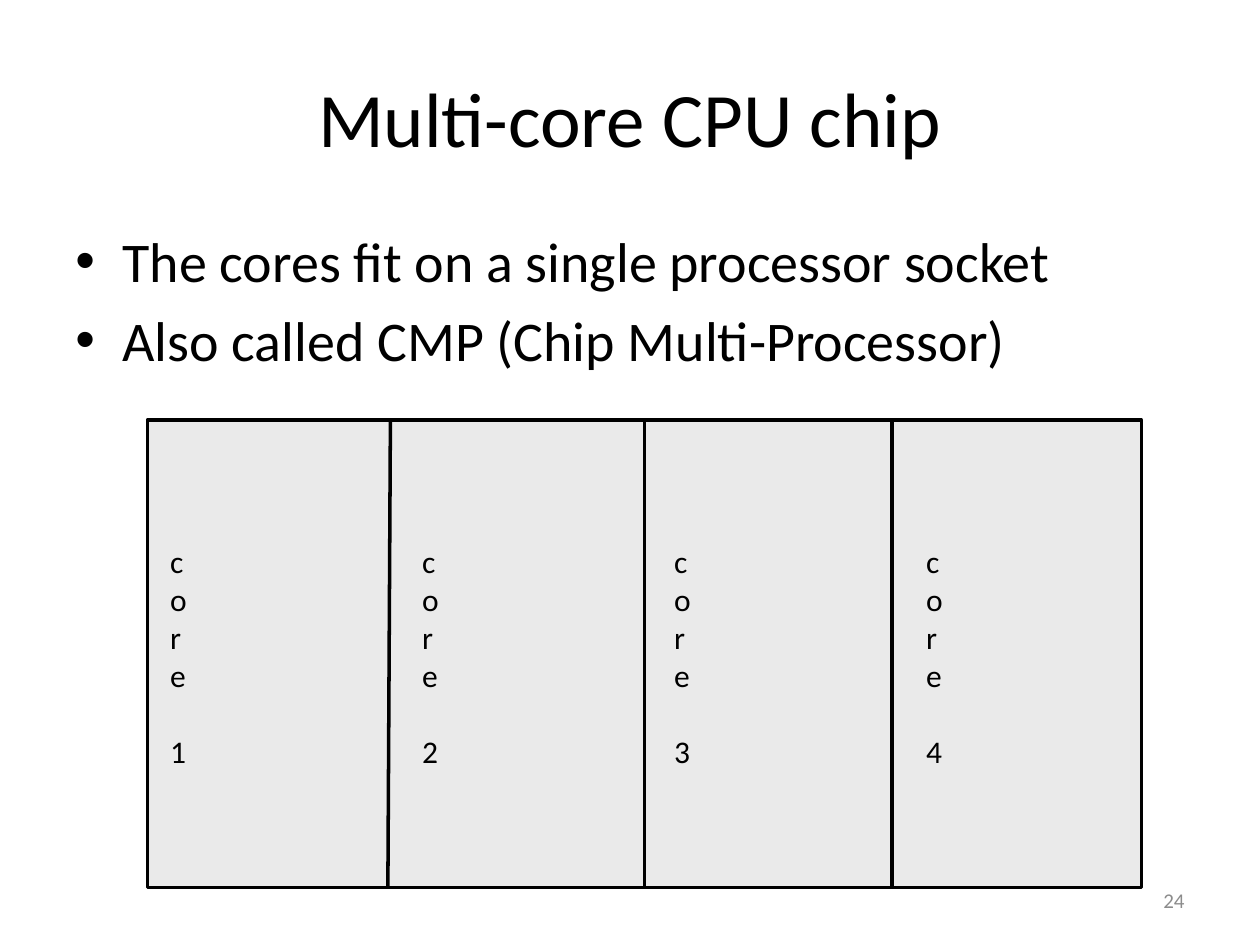
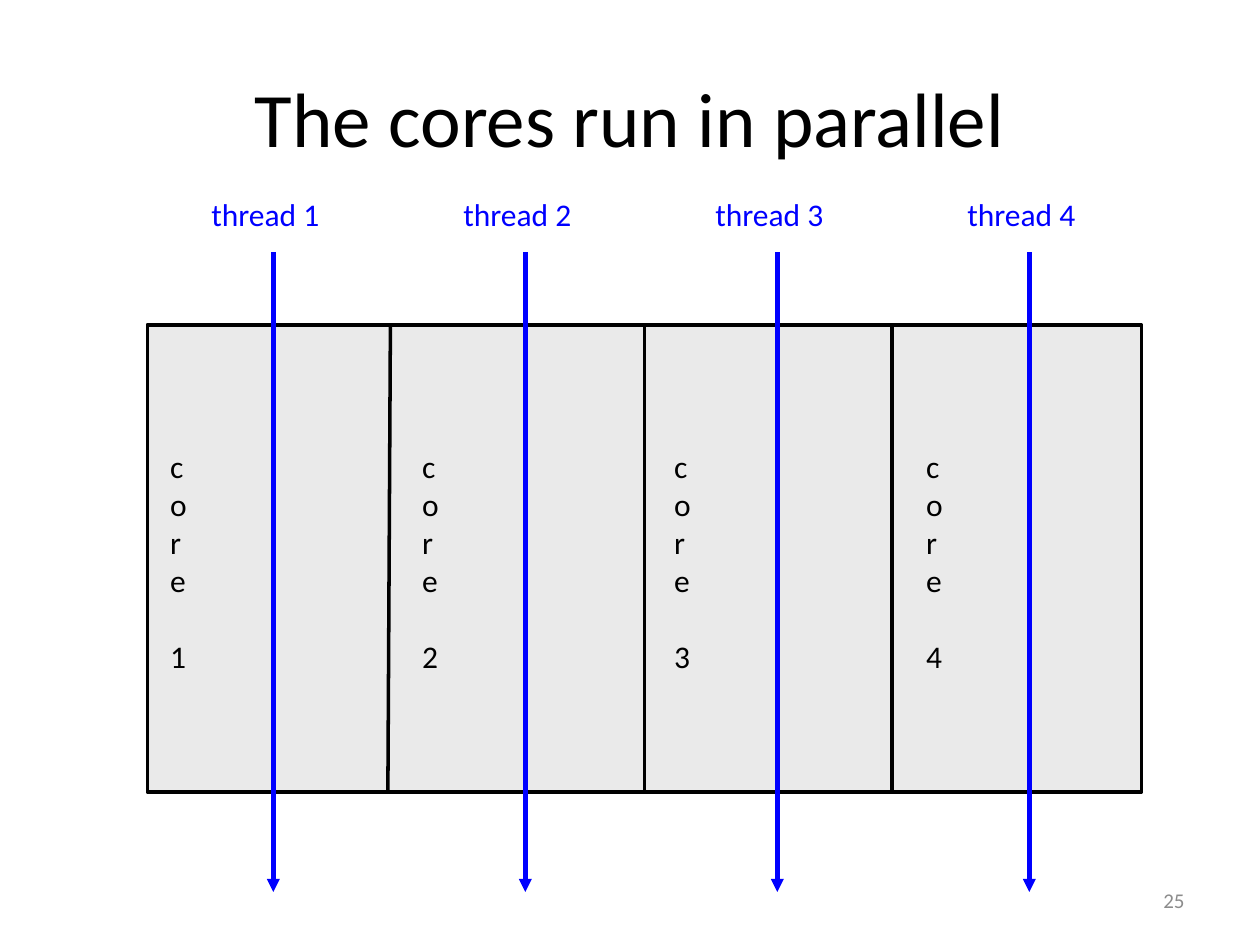
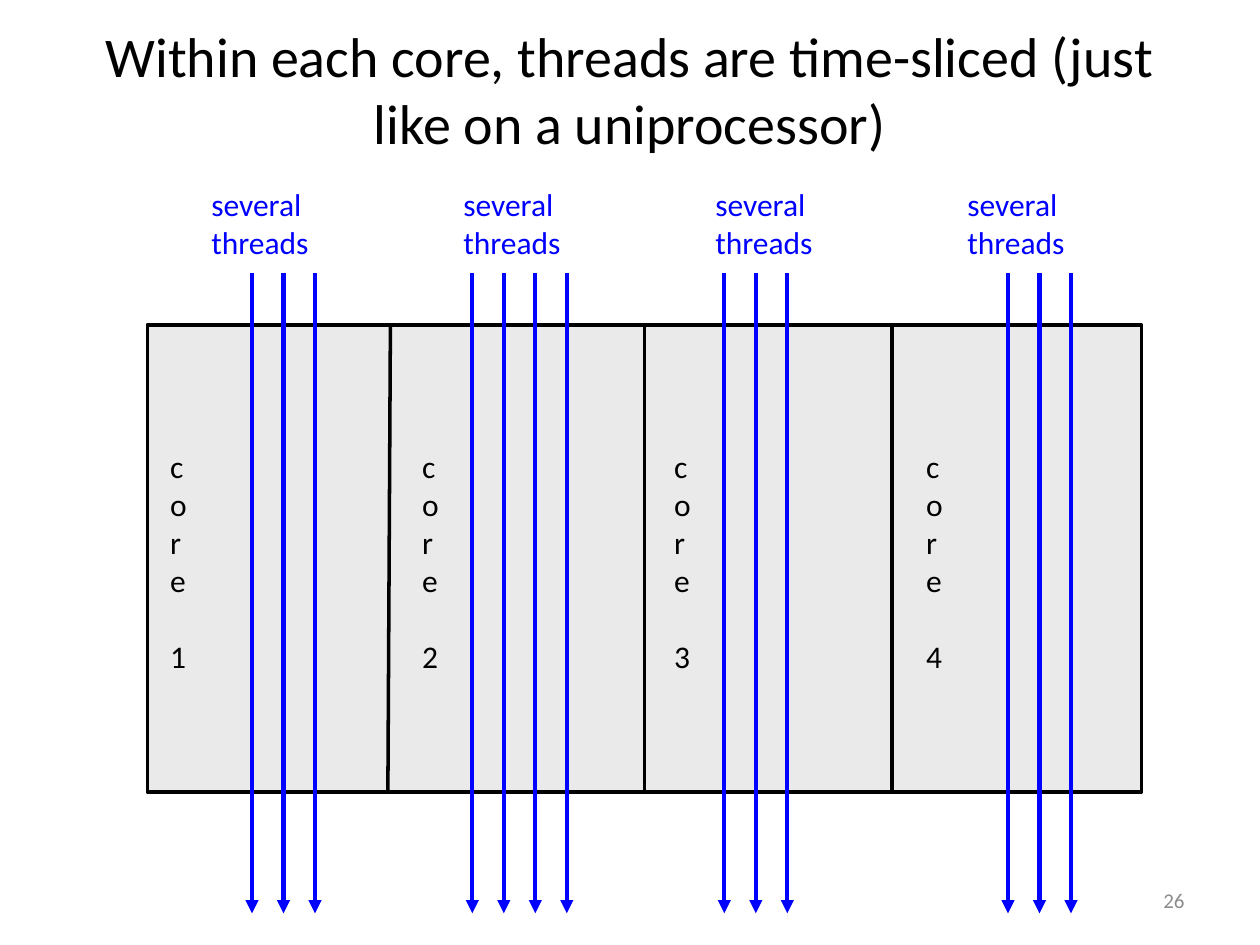
from dataclasses import dataclass

from lxml import etree
from pptx import Presentation
from pptx.dml.color import RGBColor
from pptx.enum import shapes, text
from pptx.oxml import ns
from pptx.util import Cm, Pt


@dataclass(frozen=True)
class Theme:
    font: str = "Calibri"
    ink: RGBColor = RGBColor(0, 0, 0)
    chip: RGBColor = RGBColor(0xEA, 0xEA, 0xEA)
    thread: RGBColor = RGBColor(0, 0, 0xFF)
    page: RGBColor = RGBColor(0x8C, 0x8C, 0x8C)
    title_size: Pt = Pt(44)
    long_title_size: Pt = Pt(32)
    body_size: Pt = Pt(32)
    label_size: Pt = Pt(18)
    page_size: Pt = Pt(12)
    chip_line: Pt = Pt(2)
    thread_line: Pt = Pt(2.5)


@dataclass(frozen=True)
class Box:
    left: int
    top: int
    width: int
    height: int

    @property
    def bounds(self):
        return self.left, self.top, self.width, self.height


THEME = Theme()
TITLE = Box(Cm(1.27), Cm(0.76), Cm(22.86), Cm(3.18))
HIGH_TITLE = Box(Cm(1.27), Cm(0.2), Cm(22.86), Cm(3.18))
BULLETS = Box(Cm(1.27), Cm(4.45), Cm(22.86), Cm(3.8))
PAGE_NUMBER = Box(Cm(18.2), Cm(17.65), Cm(5.93), Cm(1.01))
LOW_CHIP = Box(Cm(2.97), Cm(8.47), Cm(20.04), Cm(9.42))
CHIP = Box(Cm(2.97), Cm(6.55), Cm(20.04), Cm(9.42))

CORE_COUNT = 4
CORE_PITCH = Cm(5.08)
THREAD_GAP = CORE_PITCH // 8
THREAD_LENGTH = Cm(12.9)


def style(paragraph, size, color):
    font = paragraph.font
    font.name, font.size = THEME.font, size
    font.color.rgb = color


def add_text(slide, box, lines, size, color, wrap=True):
    """Add a text box with one paragraph per line and return its frame."""
    frame = slide.shapes.add_textbox(*box.bounds).text_frame
    frame.word_wrap = wrap
    frame.text = "\n".join(lines)
    for paragraph in frame.paragraphs:
        style(paragraph, size, color)
    return frame


def add_line(slide, start, end, color, width):
    line = slide.shapes.add_connector(shapes.MSO_CONNECTOR.STRAIGHT, *start, *end)
    line.line.color.rgb = color
    line.line.width = width
    etree.SubElement(line._element.spPr, ns.qn("a:effectLst"))
    return line


def add_titled_slide(presentation, title, page, box=TITLE, size=THEME.title_size):
    slide = presentation.slides.add_slide(presentation.slide_layouts[5])
    shape = slide.shapes.title
    shape.left, shape.top, shape.width, shape.height = box.bounds
    frame = shape.text_frame
    frame.text = title
    frame.auto_size = text.MSO_AUTO_SIZE.NONE
    frame.vertical_anchor = text.MSO_ANCHOR.MIDDLE
    frame.paragraphs[0].alignment = text.PP_ALIGN.CENTER
    style(frame.paragraphs[0], size, THEME.ink)

    number = add_text(slide, PAGE_NUMBER, [str(page)], THEME.page_size, THEME.page)
    number.vertical_anchor = text.MSO_ANCHOR.MIDDLE
    number.paragraphs[0].alignment = text.PP_ALIGN.RIGHT
    return slide


def add_bullets(slide, box, lines):
    frame = slide.shapes.add_textbox(*box.bounds).text_frame
    frame.word_wrap = True
    frame.text = "\n".join(lines)
    for index, paragraph in enumerate(frame.paragraphs):
        if index:
            paragraph.space_before = Pt(6.4)
        properties = paragraph._p.get_or_add_pPr()
        properties.set("marL", str(Cm(0.95)))
        properties.set("indent", str(-Cm(0.95)))
        etree.SubElement(properties, ns.qn("a:buFont"), typeface="Arial")
        etree.SubElement(properties, ns.qn("a:buChar"), char="•")
        style(paragraph, THEME.body_size, THEME.ink)


def add_chip(slide, box):
    """Draw the chip, its dividers and a narrow label in each core."""
    chip = slide.shapes.add_shape(shapes.MSO_SHAPE.RECTANGLE, *box.bounds)
    chip.shadow.inherit = False
    chip.fill.solid()
    chip.fill.fore_color.rgb = THEME.chip
    chip.line.color.rgb = THEME.ink
    chip.line.width = THEME.chip_line

    middle = box.width // 2
    for top_offset, bottom_offset in (
        (Cm(4.9), Cm(4.85)), (middle, middle), (Cm(15.01), Cm(15.01)),
    ):
        divider = add_line(
            slide,
            (box.left + top_offset, box.top),
            (box.left + bottom_offset, box.top + box.height),
            THEME.ink, THEME.chip_line,
        )
        if top_offset == middle:
            divider.begin_connect(chip, 0)
            divider.end_connect(chip, 2)

    for core in range(CORE_COUNT):
        label = Box(box.left + Cm(0.21) + core * CORE_PITCH,
                    box.top + Cm(2.34), Cm(0.91), Cm(4.83))
        frame = add_text(slide, label, ["core", str(core + 1)],
                         THEME.label_size, THEME.ink)
        frame.paragraphs[1].space_before = Pt(22)


def add_threads(slide, box, labels, label_rise, arrow_rise, bundles):
    """Draw each core's label and arrows; a bundle is (first offset, count)."""
    for core, (label, (offset, count)) in enumerate(zip(labels, bundles)):
        core_left = box.left + core * CORE_PITCH
        label_box = Box(core_left + Cm(1.04), box.top - label_rise, Cm(2.8), Cm(1.02))
        add_text(slide, label_box, [label], THEME.label_size, THEME.thread, wrap=False)
        top = box.top - arrow_rise
        for thread in range(count):
            x = core_left + offset + thread * THREAD_GAP
            arrow = add_line(slide, (x, top), (x, top + THREAD_LENGTH),
                             THEME.thread, THEME.thread_line)
            etree.SubElement(arrow.line._get_or_add_ln(), ns.qn("a:tailEnd"),
                             type="triangle")


def main():
    presentation = Presentation()
    presentation.slide_width, presentation.slide_height = Cm(25.4), Cm(19.05)

    slide = add_titled_slide(presentation, "Multi-core CPU chip", 24)
    add_bullets(slide, BULLETS, [
        "The cores fit on a single processor socket",
        "Also called CMP (Chip Multi-Processor)",
    ])
    add_chip(slide, LOW_CHIP)

    slide = add_titled_slide(presentation, "The cores run in parallel", 25)
    add_chip(slide, CHIP)
    add_threads(
        slide, CHIP, [f"thread {core + 1}" for core in range(CORE_COUNT)],
        Cm(2.74), Cm(1.47), [(Cm(2.54), 1)] * CORE_COUNT,
    )

    slide = add_titled_slide(
        presentation,
        "Within each core, threads are time-sliced (just like on a uniprocessor)",
        26, HIGH_TITLE, THEME.long_title_size,
    )
    add_chip(slide, CHIP)
    add_threads(
        slide, CHIP, ["several\vthreads"] * CORE_COUNT, Cm(2.94), Cm(1.04),
        [(Cm(2.11), 3), (Cm(1.47), 4), (Cm(1.47), 3), (Cm(2.11), 3)],
    )

    presentation.save("out.pptx")


if __name__ == "__main__":
    main()
